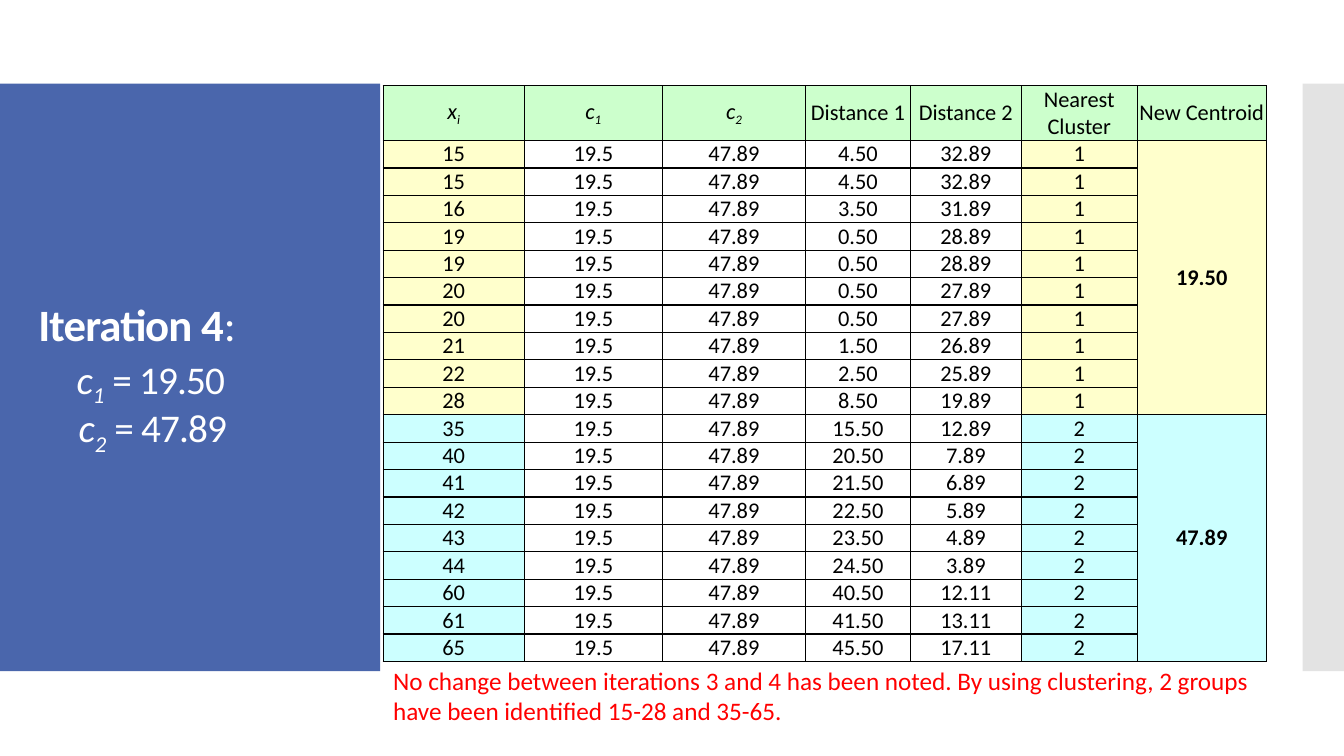
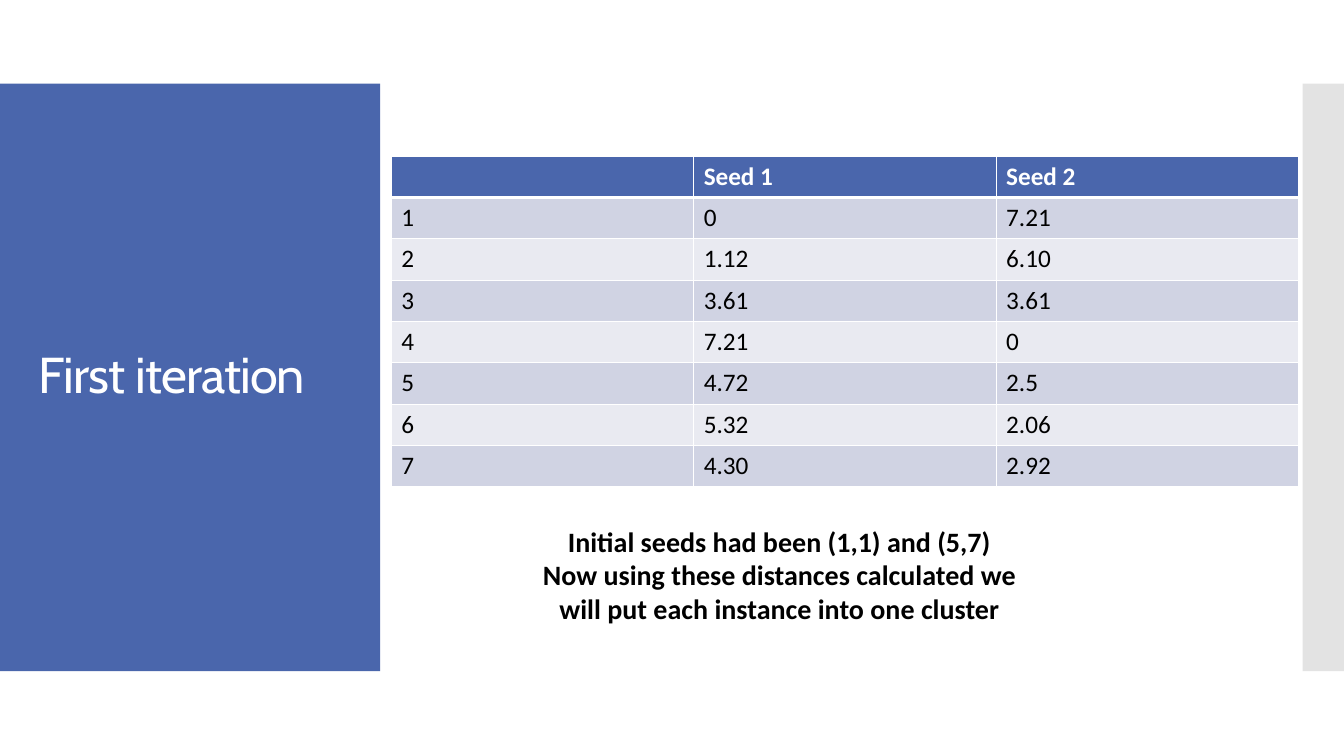
from lxml import etree
from pptx import Presentation
from pptx.dml.color import RGBColor
from pptx.enum.shapes import MSO_SHAPE
from pptx.enum.text import MSO_ANCHOR, MSO_AUTO_SIZE, PP_ALIGN
from pptx.oxml.ns import qn
from pptx.util import Pt

RECT = MSO_SHAPE.RECTANGLE
MID, TOP = MSO_ANCHOR.MIDDLE, MSO_ANCHOR.TOP
FIXED = MSO_AUTO_SIZE.NONE
LEFT, CENTER = PP_ALIGN.LEFT, PP_ALIGN.CENTER
PX = 9144

HUES = {
    "blue": "4A66AC", "gray": "C8C8C8", "white": "FFFFFF", "black": "000000",
    "red": "FF0000", "green": "CCFFCC", "cream": "FFFFCC", "aqua": "CCFFFF",
    "dark": "D0D3E3", "light": "E9EAF1",
}
BODY, HEAD = "Calibri", "Cabin"
BANDS = [((0, 83, 377, 583), "blue", 100), ((1292, 83, 42, 583), "gray", 50)]
TITLE = (28, 123, 322, 503)

MEANS = (19.5, 47.89)
POINTS = [15, 15, 16, 19, 19, 20, 20, 21, 22, 28,
          35, 40, 41, 42, 43, 44, 60, 61, 65]
GROUPS = ["cream", "aqua"]
ITER = [
    (32, 0, 0, [("Iteration 4", "b"), (":", "")]),
    (28, 38, 3, [("c", "i"), ("1", "is"), (" = 19.50", "")]),
    (28, 40, 0, [("c", "i"), ("2", "is"), (" = 47.89", "")]),
]
LABELS = [
    [("x", "i"), ("i", "is")], [("c", "i"), ("1", "is")],
    [("c", "i"), ("2", "is")], [("Distance 1", "")], [("Distance 2", "")],
    [("Nearest Cluster", "")], [("New Centroid", "")],
]
WIDTHS = [140, 137, 142, 104, 110, 115, 128]
RESULT = ["No change between iterations 3 and 4 has been noted. By using "
          "clustering, 2 groups have been identified 15-28 and 35-65."]

SEEDS = [
    ("", "Seed 1", "Seed 2"), ("1", "0", "7.21"), ("2", "1.12", "6.10"),
    ("3", "3.61", "3.61"), ("4", "7.21", "0"), ("5", "4.72", "2.5"),
    ("6", "5.32", "2.06"), ("7", "4.30", "2.92"),
]
NOTE = ["Initial seeds had been (1,1) and (5,7)",
        "Now using these distances calculated we will put each instance "
        "into one cluster"]


def rgb(hue):
    return RGBColor.from_string(HUES[hue])


def px(box):
    return [n * PX for n in box]


def style(run, size, hue, marks="", face=BODY):
    font = run.font
    font.name, font.size = face, Pt(size)
    font.color.rgb = rgb(hue)
    font.bold, font.italic = "b" in marks, "i" in marks
    if "s" in marks:
        font._element.set("baseline", "-25000")


def write(para, parts, size, hue, align=LEFT, face=BODY):
    para.alignment = align
    for text, marks in parts:
        run = para.add_run()
        run.text = text
        style(run, size, hue, marks, face)


def frame(layout, slide):
    for hold in list(layout.placeholders):
        if hold.placeholder_format.idx:
            hold._element.getparent().remove(hold._element)
    title = layout.placeholders[0]
    title.left, title.top, title.width, title.height = px(TITLE)
    title.text_frame.vertical_anchor = MID
    title.text_frame.auto_size = FIXED
    for at, (box, hue, alpha) in enumerate(BANDS):
        band = slide.shapes.add_shape(RECT, *px(box))
        band.shadow.inherit = False
        band.line.fill.background()
        band.fill.solid()
        band.fill.fore_color.rgb = rgb(hue)
        if alpha < 100:
            tint = band._element.spPr.find(".//" + qn("a:srgbClr"))
            etree.SubElement(tint, qn("a:alpha")).set("val", str(alpha * 1000))
        layout.shapes._spTree.insert(2 + at, band._element)


def head(slide, lines, face=BODY):
    text = slide.shapes.title.text_frame
    for at, (size, indent, gap, parts) in enumerate(lines):
        para = text.add_paragraph() if at else text.paragraphs[0]
        para.line_spacing = 0.9
        para.space_before = Pt(gap)
        para._p.get_or_add_pPr().set("marL", str(indent * PX))
        write(para, parts, size, "white", face=face)
        for run in para.runs:
            run.font._element.set("spc", "-60")


def edge(cell, hue, top=1, base=1):
    props = cell._tc.get_or_add_tcPr()
    for at, (side, width) in enumerate(
            [("L", 1), ("R", 1), ("T", top), ("B", base)]):
        line = etree.Element(qn("a:ln" + side), w=str(Pt(width)))
        fill = etree.SubElement(line, qn("a:solidFill"))
        etree.SubElement(fill, qn("a:srgbClr")).set("val", HUES[hue])
        props.insert(at, line)


def paint(cell, hue):
    if hue:
        cell.fill.solid()
        cell.fill.fore_color.rgb = rgb(hue)
    else:
        cell.fill.background()


def grid(slide, left, top, widths, heights):
    box = px((left, top, sum(widths), sum(heights)))
    table = slide.shapes.add_table(len(heights), len(widths), *box).table
    table.first_row = table.horz_banding = False
    for col, width in zip(table.columns, widths):
        col.width = width * PX
    for row, height in zip(table.rows, heights):
        row.height = height * PX
    return table


def put(cell, parts, hue):
    cell.vertical_anchor = MID
    cell.margin_left = cell.margin_right = 0
    cell.margin_top = cell.margin_bottom = 0
    write(cell.text_frame.paragraphs[0], parts, 16, "black", CENTER)
    paint(cell, hue)
    edge(cell, "black")


def groups(slide):
    table = grid(slide, 380, 85, WIDTHS, [50] + [25] * len(POINTS))
    for col, parts in enumerate(LABELS):
        put(table.cell(0, col), parts, "green")
    rows = {0: [], 1: []}
    for row, point in enumerate(POINTS, 1):
        gaps = [abs(point - mean) for mean in MEANS]
        near = gaps.index(min(gaps))
        first = not rows[near]
        rows[near].append(row)
        texts = [point, *MEANS, *(f"{gap:.2f}" for gap in gaps), near + 1,
                 f"{MEANS[near]:.2f}" if first else ""]
        for col, text in enumerate(texts):
            parts = [(str(text), "b" if col == 6 else "")] if text else []
            hue = GROUPS[near] if col in (0, 5, 6) else None
            put(table.cell(row, col), parts, hue)
    for span in rows.values():
        table.cell(span[0], 6).merge(table.cell(span[-1], 6))


def seeds(slide):
    table = grid(slide, 388, 155, [300] * 3, [41] * len(SEEDS))
    for row, texts in enumerate(SEEDS):
        hue = ("dark" if row % 2 else "light") if row else "blue"
        for col, text in enumerate(texts):
            cell = table.cell(row, col)
            cell.vertical_anchor = TOP
            cell.text_frame.text = text
            for run in cell.text_frame.paragraphs[0].runs:
                style(run, 18, "black" if row else "white", "" if row else "b")
            paint(cell, hue)
            edge(cell, "white", 3 if row == 1 else 1, 1 if row else 3)


def note(slide, box, lines, size, hue, marks="", align=LEFT):
    text = slide.shapes.add_textbox(*px(box)).text_frame
    text.word_wrap = True
    text.text = "\n".join(lines)
    for para in text.paragraphs:
        para.alignment = align
        for run in para.runs:
            style(run, size, hue, marks)


def main():
    deck = Presentation()
    deck.slide_width, deck.slide_height = px((1333, 750))
    layout = deck.slide_layouts[5]

    last = deck.slides.add_slide(layout)
    frame(layout, last)
    head(last, ITER)
    groups(last)
    note(last, (380, 655, 875, 71), RESULT, 18, "red")

    first = deck.slides.add_slide(layout)
    head(first, [(36, 0, 0, [("First iteration", "")])], HEAD)
    seeds(first)
    note(first, (519, 515, 508, 111), NOTE, 20, "black", "b", CENTER)

    deck.save("out.pptx")


if __name__ == "__main__":
    main()
